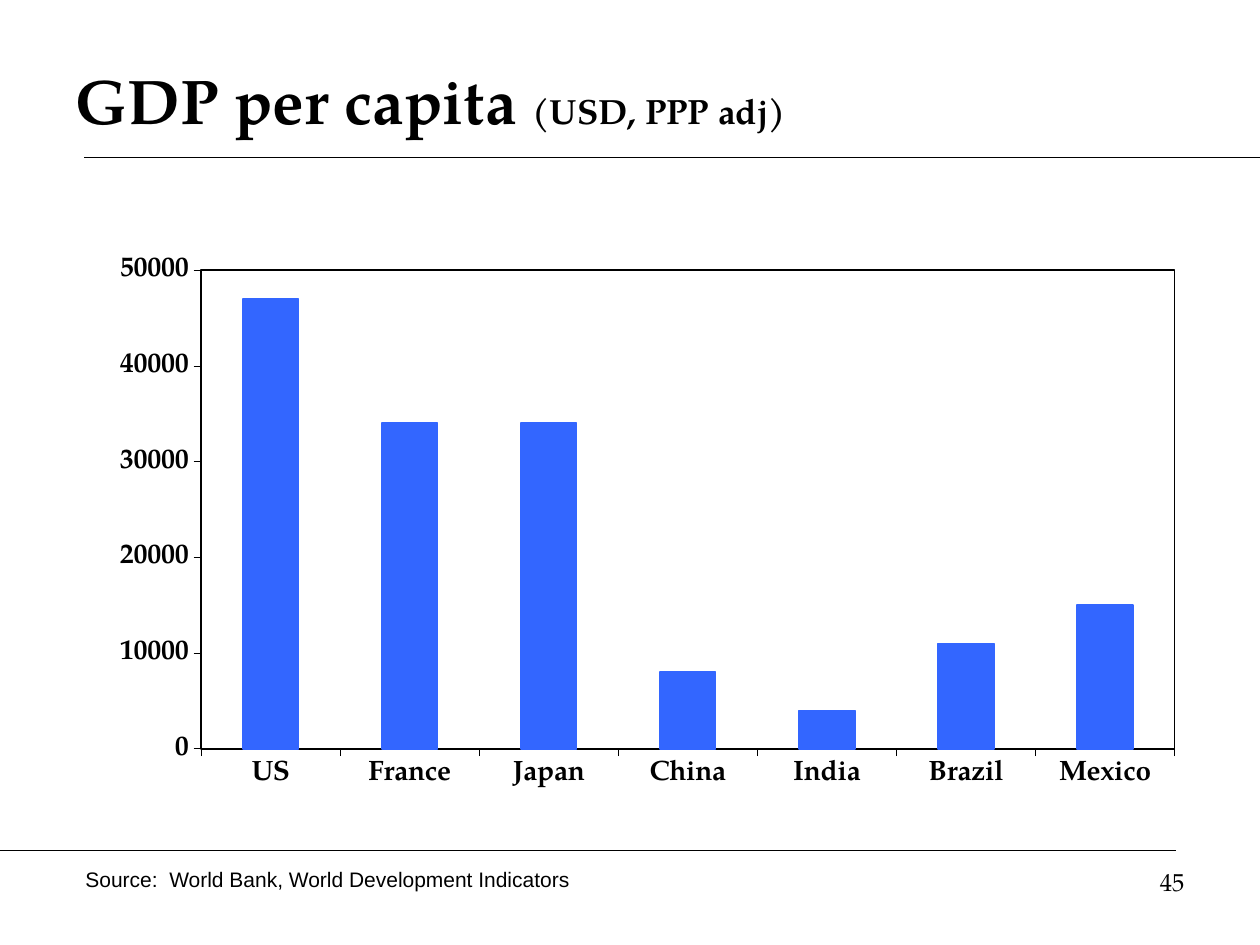
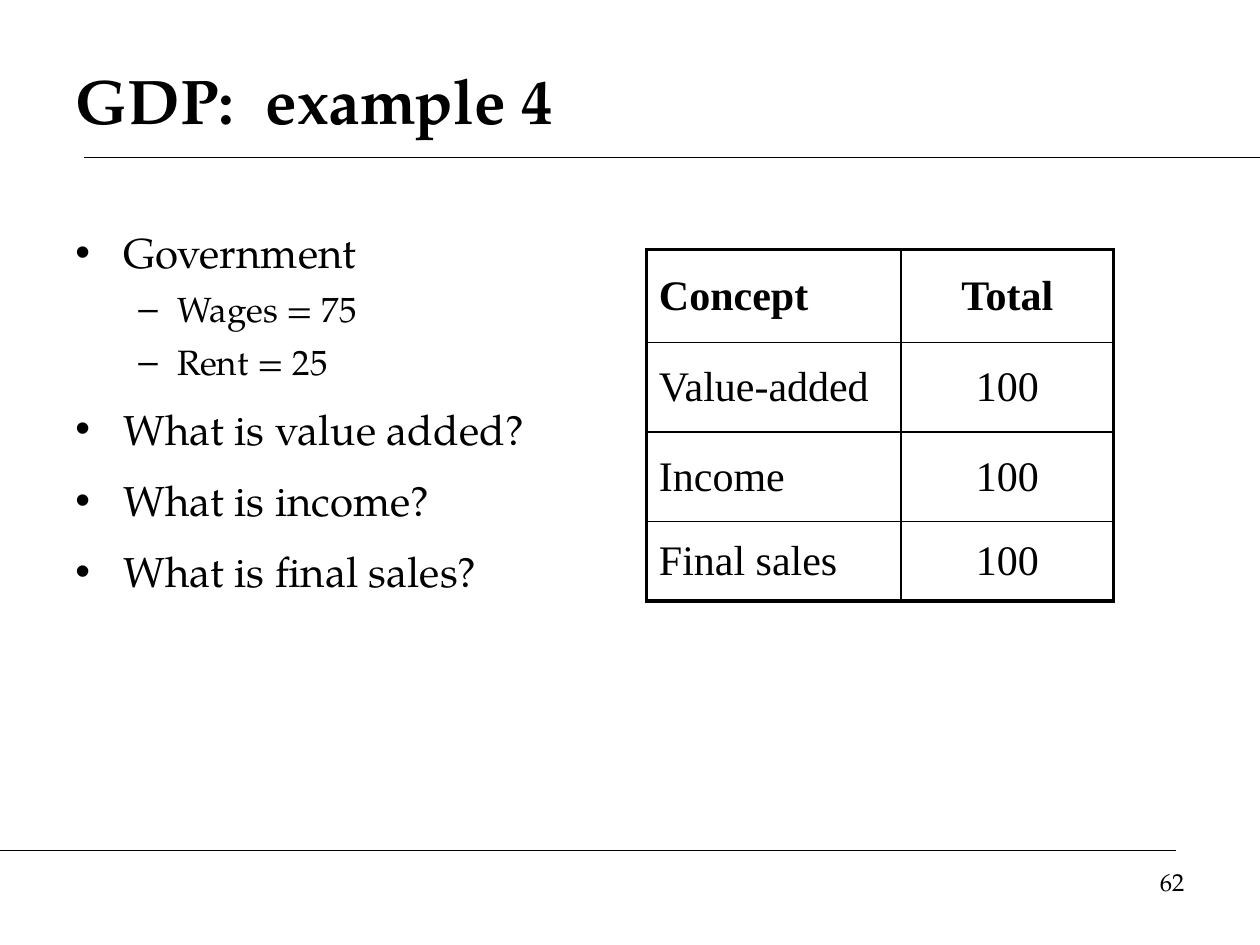
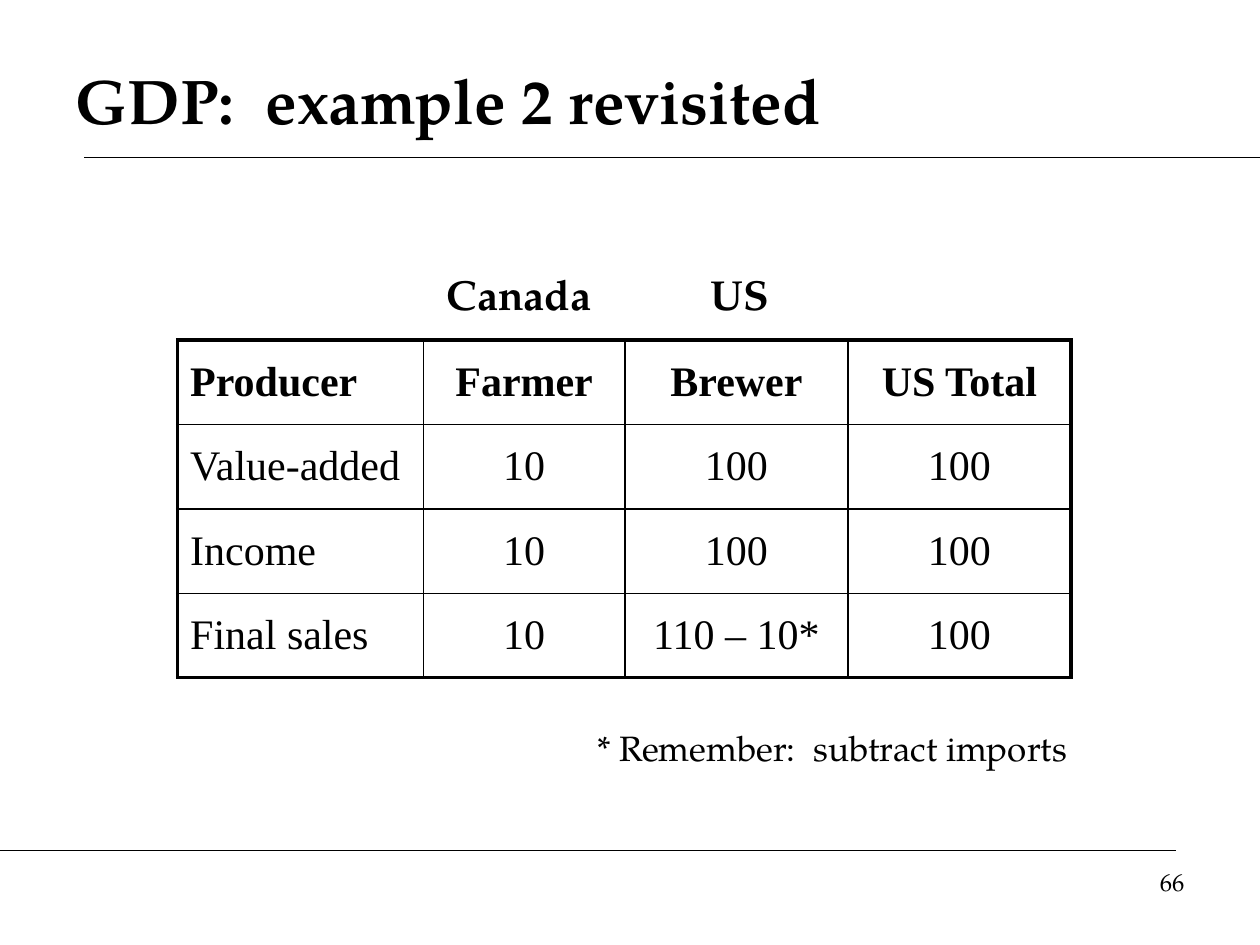
"""Build three slides on GDP: a chart and two worked examples."""
from dataclasses import dataclass

from lxml.etree import SubElement
from pptx import Presentation
from pptx.chart.axis import _BaseAxis as BaseAxis
from pptx.chart.data import CategoryChartData
from pptx.dml.color import RGBColor
from pptx.enum.chart import XL_CHART_TYPE as ChartType, XL_TICK_MARK as TickMark
from pptx.enum.text import MSO_ANCHOR as Anchor, MSO_AUTO_SIZE as AutoSize, PP_ALIGN as Align
from pptx.oxml import parse_xml
from pptx.oxml.ns import nsdecls, qn
from pptx.slide import Slide
from pptx.table import _Cell as Cell
from pptx.text.text import Font
from pptx.util import Inches, Pt

BLACK = RGBColor(0x00, 0x00, 0x00)
BAR_BLUE = RGBColor(0x33, 0x66, 0xFF)
SERIF, SANS, TABLE_FONT = "TeX Gyre Pagella", "Arial", "Times New Roman"
FRAME_WIDTH, GRID_WIDTH = 2.25, 1


@dataclass(frozen=True)
class Label:
    """A text box with one paragraph in one style; lengths in inches."""
    text: str
    left: float
    top: float
    width: float
    height: float
    size: float
    font: str = SERIF
    bold: bool = False
    align: Align = Align.LEFT
    anchor: Anchor = Anchor.TOP
    grow: bool = True


@dataclass(frozen=True)
class BulletStyle:
    """The look of one outline level."""
    mark: str
    size: float
    margin: float
    hanging: float
    space_before: float


@dataclass(frozen=True)
class Grid:
    """A framed table whose first row is the heading; lengths in inches."""
    left: float
    top: float
    columns: tuple[float, ...]
    rows: tuple[float, ...]
    texts: tuple[tuple[str, ...], ...]


BULLETS = (BulletStyle("•", 24, 0.38, 0.38, 12), BulletStyle("–", 20, 0.81, 0.31, 6))
OUTLINE = (
    (0, "Government"),
    (1, "Wages = 75"),
    (1, "Rent = 25"),
    (0, "What is value added?"),
    (0, "What is income?"),
    (0, "What is final sales?"),
)
GDP_PER_CAPITA = {
    "US": 47000, "France": 34000, "Japan": 34000, "China": 8000,
    "India": 4000, "Brazil": 11000, "Mexico": 15000,
}
CONCEPT_GRID = Grid(
    5.13, 1.98, (2.02, 1.69), (0.74, 0.71, 0.71, 0.63),
    (("Concept", "Total"), ("Value-added", "100"), ("Income", "100"), ("Final sales", "100")),
)
PRODUCER_GRID = Grid(
    1.41, 2.7, (1.95, 1.6, 1.77, 1.77), (0.67,) * 4,
    (
        ("Producer", "Farmer", "Brewer", "US Total"),
        ("Value-added", "10", "100", "100"),
        ("Income", "10", "100", "100"),
        ("Final sales", "10", "110 – 10*", "100"),
    ),
)


def style_font(font: Font, name: str, size: float, bold: bool = False) -> None:
    """Set a black font."""
    font.name, font.size, font.bold = name, Pt(size), bold
    font.color.rgb = BLACK


def add_label(slide: Slide, label: Label, small_text: str = "") -> None:
    """Add a label, with an optional ending in smaller type."""
    shape = slide.shapes.add_textbox(
        Inches(label.left), Inches(label.top), Inches(label.width), Inches(label.height))
    frame = shape.text_frame
    frame.word_wrap = True
    frame.vertical_anchor = label.anchor
    frame.auto_size = AutoSize.SHAPE_TO_FIT_TEXT if label.grow else AutoSize.NONE
    paragraph = frame.paragraphs[0]
    paragraph.alignment = label.align
    paragraph.add_run().text = label.text
    style_font(paragraph.font, label.font, label.size, label.bold)
    if small_text:
        run = paragraph.add_run()
        run.text = small_text
        run.font.size = Pt(20)


def add_rule(slide: Slide, start: float, end: float, top: float) -> None:
    """Draw a thin horizontal rule."""
    connector = slide.shapes.add_connector(
        1, Inches(start), Inches(top), Inches(end), Inches(top))
    connector.line.color.rgb = BLACK
    connector.line.width = Pt(0.75)
    SubElement(connector._element.spPr, qn("a:effectLst"))


def add_page(presentation: Presentation, title: str, number: int, small_title: str = "") -> Slide:
    """Add a slide with its rules, title and number."""
    slide = presentation.slides.add_slide(presentation.slide_layouts[6])
    add_rule(slide, 0.67, 10, 1.25)
    add_rule(slide, 0, 9.33, 6.75)
    add_label(slide, Label(title, 0.5, 0.33, 9, 0.92, 36, bold=True,
                           anchor=Anchor.MIDDLE, grow=False), small_title)
    add_label(slide, Label(str(number), 7.17, 6.83, 2.33, 0.52, 14,
                           align=Align.RIGHT, grow=False))
    return slide


def style_axis(axis: BaseAxis) -> None:
    """Give an axis its labels, ticks and line."""
    axis.has_major_gridlines = False
    axis.major_tick_mark = TickMark.OUTSIDE
    axis.minor_tick_mark = TickMark.NONE
    style_font(axis.tick_labels.font, SERIF, 16, True)
    axis.format.line.color.rgb = BLACK
    axis.format.line.width = Pt(0.25)


def add_gdp_chart(slide: Slide) -> None:
    """Add the framed column chart of GDP per capita."""
    data = CategoryChartData(number_format="General")
    data.categories = list(GDP_PER_CAPITA)
    data.add_series("Series 1", list(GDP_PER_CAPITA.values()))
    chart = slide.shapes.add_chart(
        ChartType.COLUMN_CLUSTERED, Inches(0.56), Inches(1.81),
        Inches(8.86), Inches(4.84), data).chart
    chart.has_legend = chart.has_title = False
    style_font(chart.font, SANS, 18, True)
    style_axis(chart.category_axis)
    value_axis = chart.value_axis
    style_axis(value_axis)
    value_axis.minimum_scale, value_axis.maximum_scale = 0, 50000
    value_axis.major_unit = 10000

    plot = chart.plots[0]
    plot.gap_width = 150
    plot.vary_by_categories = False
    bars = plot.series[0].format
    bars.fill.solid()
    bars.fill.fore_color.rgb = bars.line.color.rgb = BAR_BLUE
    bars.line.width = Pt(1)

    plot_area = chart._chartSpace.chart.plotArea
    for layout in plot_area.findall(qn("c:layout")):
        plot_area.remove(layout)
    edges = {"x": 0.117, "y": 0.069, "w": 0.872, "h": 0.785}
    sizes = "".join(f'<c:{name} val="{share}"/>' for name, share in edges.items())
    plot_area.insert(0, parse_xml(
        f'<c:layout {nsdecls("c")}><c:manualLayout><c:layoutTarget val="inner"/>'
        f'<c:xMode val="edge"/><c:yMode val="edge"/>{sizes}</c:manualLayout></c:layout>'))
    plot_area.append(parse_xml(
        f'<c:spPr {nsdecls("c", "a")}><a:noFill/><a:ln w="{Pt(1)}"><a:solidFill>'
        f'<a:srgbClr val="{BLACK}"/></a:solidFill></a:ln></c:spPr>'))


def add_outline(slide: Slide) -> None:
    """Add the two-level list of questions."""
    frame = slide.shapes.add_textbox(
        Inches(0.5), Inches(1.75), Inches(4.25), Inches(4.42)).text_frame
    frame.word_wrap = True
    for index, (level, text) in enumerate(OUTLINE):
        style = BULLETS[level]
        paragraph = frame.add_paragraph() if index else frame.paragraphs[0]
        paragraph.text = text
        paragraph.level = level
        properties = paragraph._p.get_or_add_pPr()
        properties.set("marL", str(Inches(style.margin)))
        properties.set("indent", str(-Inches(style.hanging)))
        SubElement(properties, qn("a:buFont"), typeface=SANS)
        SubElement(properties, qn("a:buChar"), char=style.mark)
        paragraph.space_before = Pt(style.space_before if index else 0)
        style_font(paragraph.font, SERIF, style.size)


def set_borders(cell: Cell, outer_sides: dict[str, bool]) -> None:
    """Draw the sides of a cell, heavier on the table's frame."""
    properties = cell._tc.get_or_add_tcPr()
    for position, (side, is_outer) in enumerate(outer_sides.items()):
        width = Pt(FRAME_WIDTH if is_outer else GRID_WIDTH)
        properties.insert(position, parse_xml(
            f'<a:ln{side} {nsdecls("a")} w="{width}"><a:solidFill>'
            f'<a:srgbClr val="{BLACK}"/></a:solidFill></a:ln{side}>'))


def add_grid(slide: Slide, grid: Grid) -> None:
    """Add a framed table with a bold heading row."""
    last_row, last_column = len(grid.rows) - 1, len(grid.columns) - 1
    table = slide.shapes.add_table(
        len(grid.rows), len(grid.columns), Inches(grid.left), Inches(grid.top),
        Inches(sum(grid.columns)), Inches(sum(grid.rows))).table
    table.first_row = table.horz_banding = False
    for column, width in zip(table.columns, grid.columns):
        column.width = Inches(width)
    for row_index, (row, height) in enumerate(zip(table.rows, grid.rows)):
        row.height = Inches(height)
        for column_index, cell in enumerate(row.cells):
            cell.text = grid.texts[row_index][column_index]
            cell.vertical_anchor = Anchor.MIDDLE
            cell.fill.background()
            paragraph = cell.text_frame.paragraphs[0]
            paragraph.alignment = Align.CENTER if column_index else Align.LEFT
            style_font(paragraph.font, TABLE_FONT, 24, row_index == 0)
            set_borders(cell, {
                "L": column_index == 0, "R": column_index == last_column,
                "T": row_index == 0, "B": row_index == last_row})


def main() -> None:
    """Build and save the presentation."""
    presentation = Presentation()
    presentation.slide_width, presentation.slide_height = Inches(10), Inches(7.5)

    slide = add_page(presentation, "GDP per capita ", 45, "(USD, PPP adj)")
    add_gdp_chart(slide)
    add_label(slide, Label("Source:  World Bank, World Development Indicators",
                           0.58, 6.83, 4.83, 0.3, 12, SANS))

    slide = add_page(presentation, "GDP:  example 4", 62)
    add_outline(slide)
    add_grid(slide, CONCEPT_GRID)

    slide = add_page(presentation, "GDP:  example 2 revisited", 66)
    add_grid(slide, PRODUCER_GRID)
    for country, left in (("Canada", 3.33), ("US", 5.08)):
        add_label(slide, Label(country, left, 2.08, 1.58, 0.5, 24, bold=True, align=Align.CENTER))
    add_label(slide, Label("* Remember:  subtract imports", 4.64, 5.72, 4.08, 0.44, 20))

    presentation.save("out.pptx")


if __name__ == "__main__":
    main()
